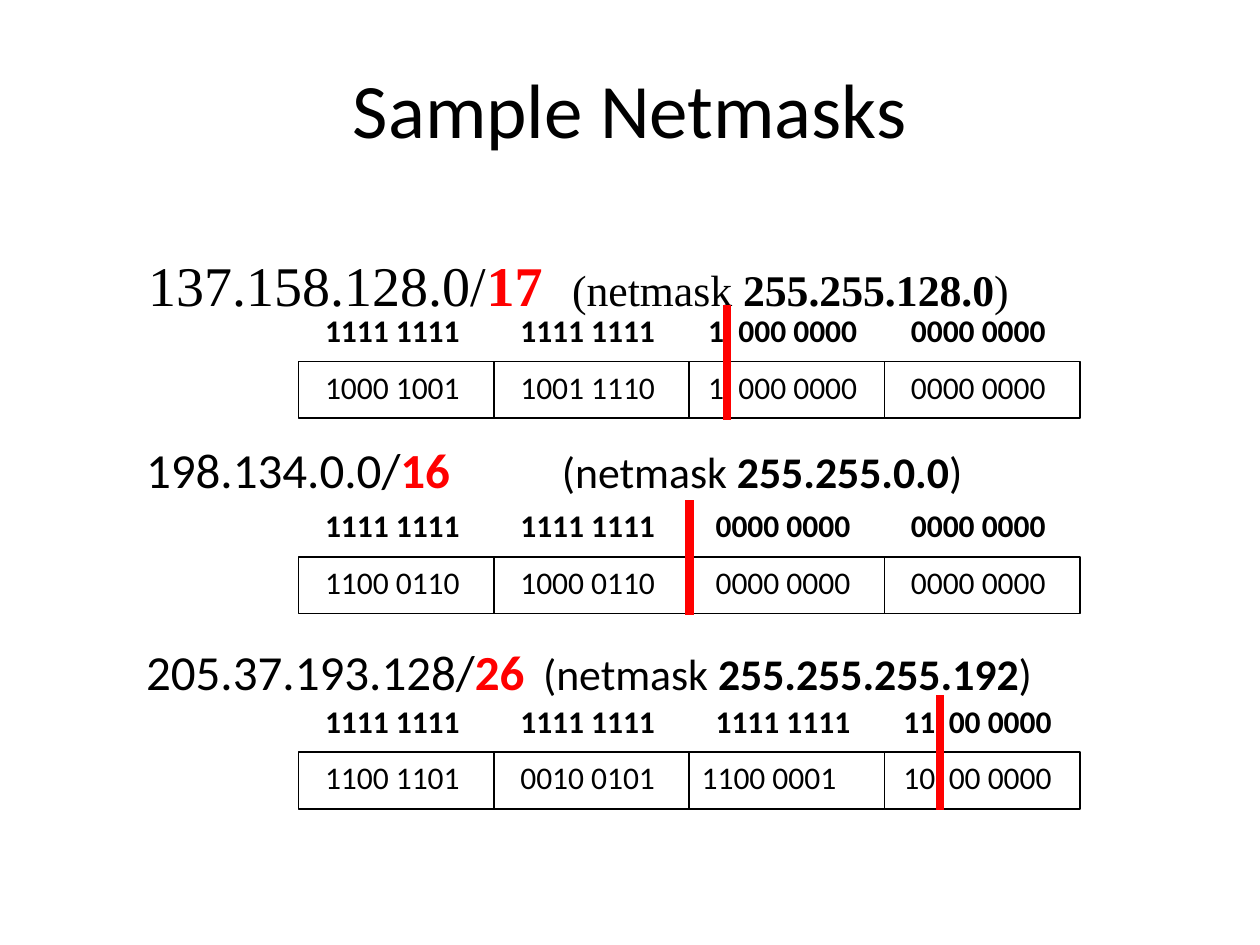
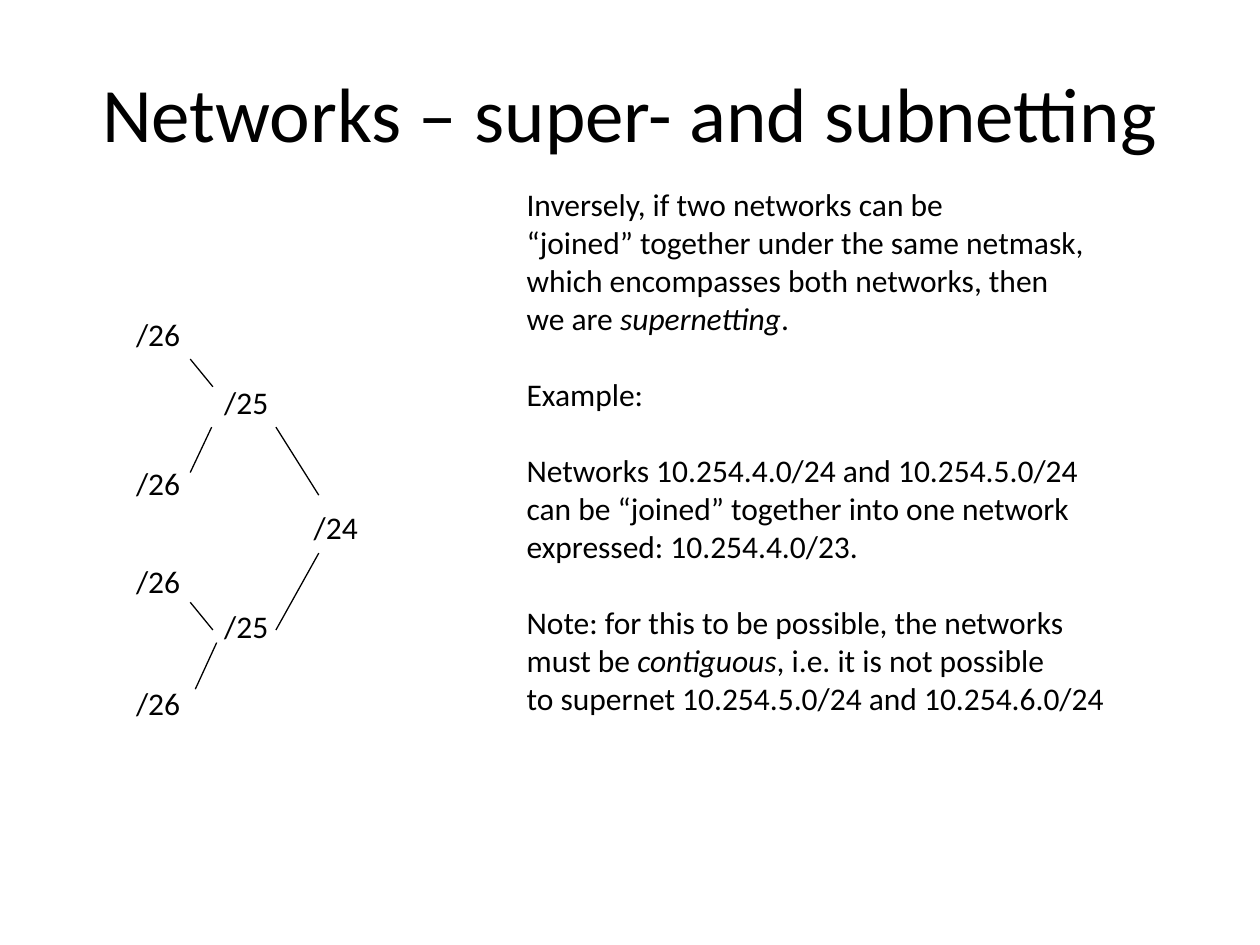
import lxml.etree
import pptx
import pptx.dml.color
import pptx.enum.shapes
import pptx.enum.text
import pptx.oxml.ns
import pptx.util

Inches = pptx.util.Inches
Pt = pptx.util.Pt
Align = pptx.enum.text.PP_ALIGN
qn = pptx.oxml.ns.qn

BLACK = pptx.dml.color.RGBColor(0, 0, 0)
RED = pptx.dml.color.RGBColor(255, 0, 0)
SANS = "Calibri"
SERIF = "Times New Roman"

GRID_LEFT = 2.37
CELL_WIDTH = 1.55
ROW_TOP = 2.42
ROW_STEP = 1.55

HEADS = [
    (1.09, 1.95, SERIF, 32, 3.36, "137.158.128.0/", "17", "255.255.128.0"),
    (1.07, 3.45, SANS, 28, 3.3, "198.134.0.0/", "16", "255.255.0.0"),
    (1.07, 5.05, SANS, 28, 3.15, "205.37.193.128/", "26", "255.255.255.192"),
]
MASKS = [
    ["1111 1111", "1111 1111", "1\t000 0000", "0000 0000"],
    ["1111 1111", "1111 1111", "0000 0000", "0000 0000"],
    ["1111 1111", "1111 1111", "1111 1111", "11\t00 0000"],
]
OCTETS = [
    ["1000 1001", "1001 1110", "1\t000 0000", "0000 0000"],
    ["1100 0110", "1000 0110", "0000 0000", "0000 0000"],
    ["1100 1101", "0010 0101", "1100 0001", "10\t00 0000"],
]
SPLITS = [5.77, 5.47, 7.46]

NODES = [
    ("/24", 2.49, 4.03), ("/25", 1.78, 3.04), ("/25", 1.78, 4.82),
    ("/26", 1.08, 2.5), ("/26", 1.08, 3.68),
    ("/26", 1.08, 4.46), ("/26", 1.08, 5.43),
]
EDGES = [
    (1.51, 3.75, 1.68, 3.39), (2.19, 3.39, 2.53, 3.93),
    (1.55, 5.47, 1.72, 5.1), (1.69, 5, 1.51, 4.78),
    (2.19, 5, 2.53, 4.39), (1.69, 3.07, 1.51, 2.85),
]
NOTES = [
    [
        ["Inversely, if two networks can be"],
        ["“joined” together under the same netmask,"],
        ["which encompasses both networks, then"],
        ["we are ", "supernetting", "."],
    ],
    [["Example:"]],
    [
        ["Networks 10.254.4.0/24 and 10.254.5.0/24"],
        ["can be “joined” together into one network"],
        ["expressed: 10.254.4.0/23."],
    ],
    [
        ["Note: for this to be possible, the networks"],
        ["must be ", "contiguous", ", i.e. it is not possible"],
        ["to supernet 10.254.5.0/24 and 10.254.6.0/24"],
    ],
]


def set_font(font, size=18, name=SANS, bold=False):
    """Give a font its face, size, weight and black colour."""
    font.name, font.size, font.bold = name, Pt(size), bold
    font.color.rgb = BLACK


def set_tab(para, stop):
    """Add one left tab stop to a paragraph."""
    tabs = lxml.etree.SubElement(para._p.get_or_add_pPr(), qn("a:tabLst"))
    tab = lxml.etree.SubElement(tabs, qn("a:tab"))
    tab.set("pos", str(Inches(stop)))
    tab.set("algn", "l")


def set_pads(frame, left, top, right):
    """Set the inner margins of a text frame."""
    frame.margin_left, frame.margin_right = Inches(left), Inches(right)
    frame.margin_top = frame.margin_bottom = Inches(top)


def add_slide(deck, title, top):
    """Add a title-only slide with its title in place."""
    slide = deck.slides.add_slide(deck.slide_layouts[5])
    head = slide.shapes.title
    head.left, head.top = Inches(0.34), Inches(top)
    head.width, head.height = Inches(9.32), Inches(1.13)
    head.text_frame.text = title
    para = head.text_frame.paragraphs[0]
    para.alignment = Align.CENTER
    set_font(para.font, 44)
    return slide


def add_box(slide, left, top, width, height, wrap=False):
    """Add a text box without margins and return its frame."""
    box = slide.shapes.add_textbox(
        Inches(left), Inches(top), Inches(width), Inches(height))
    box.text_frame.word_wrap = wrap
    set_pads(box.text_frame, 0, 0, 0)
    return box.text_frame


def add_line(slide, ends, color=BLACK, width=0.75):
    """Draw a straight line between two points."""
    line = slide.shapes.add_connector(
        pptx.enum.shapes.MSO_CONNECTOR.STRAIGHT, *map(Inches, ends))
    line.line.color.rgb = color
    line.line.width = Pt(width)
    lxml.etree.SubElement(line._element.spPr, qn("a:effectLst"))


def add_head(slide, left, top, face, size, stop, net, bits, mask):
    """Write a network address with its prefix length and netmask."""
    frame = add_box(slide, left, top, 7.83, 0.62, True)
    set_pads(frame, 0.09, 0.04, 0.09)
    para = frame.paragraphs[0]
    set_tab(para, stop)
    set_font(para.font, size, face)
    para.add_run().text = net
    prefix = para.add_run()
    prefix.text = bits + "\t"
    prefix.font.bold = True
    prefix.font.color.rgb = RED
    for text, bold in [("(netmask ", False), (mask, True), (")", False)]:
        run = para.add_run()
        run.text = text
        run.font.size = Pt(25)
        run.font.bold = bold


def fill_bits(frame, text, bold=False, align=Align.CENTER):
    """Write eight bits, with a tab where the mask splits them."""
    frame.word_wrap = True
    frame.vertical_anchor = pptx.enum.text.MSO_ANCHOR.TOP
    set_pads(frame, 0.1, 0.05, 0.16)
    frame.text = text
    para = frame.paragraphs[0]
    para.alignment = align
    if "\t" in text:
        para.alignment = Align.LEFT
        frame.margin_left = Inches(0.15)
        set_tab(para, 0.12 + 0.12 * text.index("\t"))
    set_font(para.font, bold=bold)


def add_cell(slide, left, top, text, align):
    """Draw an outlined octet cell."""
    cell = slide.shapes.add_shape(
        pptx.enum.shapes.MSO_SHAPE.RECTANGLE,
        Inches(left), Inches(top), Inches(CELL_WIDTH), Inches(0.45))
    cell.shadow.inherit = False
    cell.fill.background()
    cell.line.color.rgb = BLACK
    cell.line.width = Pt(1)
    fill_bits(cell.text_frame, text, align=align)


def add_row(slide, top, masks, octets, split):
    """Draw mask bits above address bits and the line that splits them."""
    for col, (mask, octet) in enumerate(zip(masks, octets)):
        left = GRID_LEFT + col * CELL_WIDTH
        align = Align.LEFT if octet == "1100 0001" else Align.CENTER
        add_cell(slide, left, top + 0.45, octet, align)
        fill_bits(add_box(slide, left, top, CELL_WIDTH, 0.49), mask, True)
    add_line(slide, (split, top, split, top + 0.91), RED, 5)


def add_node(slide, text, left, top):
    """Write one prefix of the tree."""
    frame = add_box(slide, left, top, 0.36, 0.37)
    frame.text = text
    set_font(frame.paragraphs[0].font)


def add_notes(slide):
    """Write the explanation, with a gap before each later group."""
    frame = add_box(slide, 4.18, 1.47, 5.03, 5.12)
    para = frame.paragraphs[0]
    for group, lines in enumerate(NOTES):
        for row, parts in enumerate(lines):
            if group or row:
                para = frame.add_paragraph()
            if group and not row:
                para.space_before = Pt(22)
            set_font(para.font)
            for spot, text in enumerate(parts):
                run = para.add_run()
                run.text = text
                if spot == 1:
                    run.font.italic = True


def main():
    """Build both slides and save the deck."""
    deck = pptx.Presentation()
    deck.slide_width, deck.slide_height = Inches(10), Inches(7.5)

    slide = add_slide(deck, "Sample Netmasks", 0.29)
    for head in HEADS:
        add_head(slide, *head)
    for row, parts in enumerate(zip(MASKS, OCTETS, SPLITS)):
        add_row(slide, ROW_TOP + row * ROW_STEP, *parts)

    slide = add_slide(deck, "Networks – super- and subnetting", 0.32)
    for node in NODES:
        add_node(slide, *node)
    for edge in EDGES:
        add_line(slide, edge)
    add_notes(slide)

    deck.save("out.pptx")


if __name__ == "__main__":
    main()
